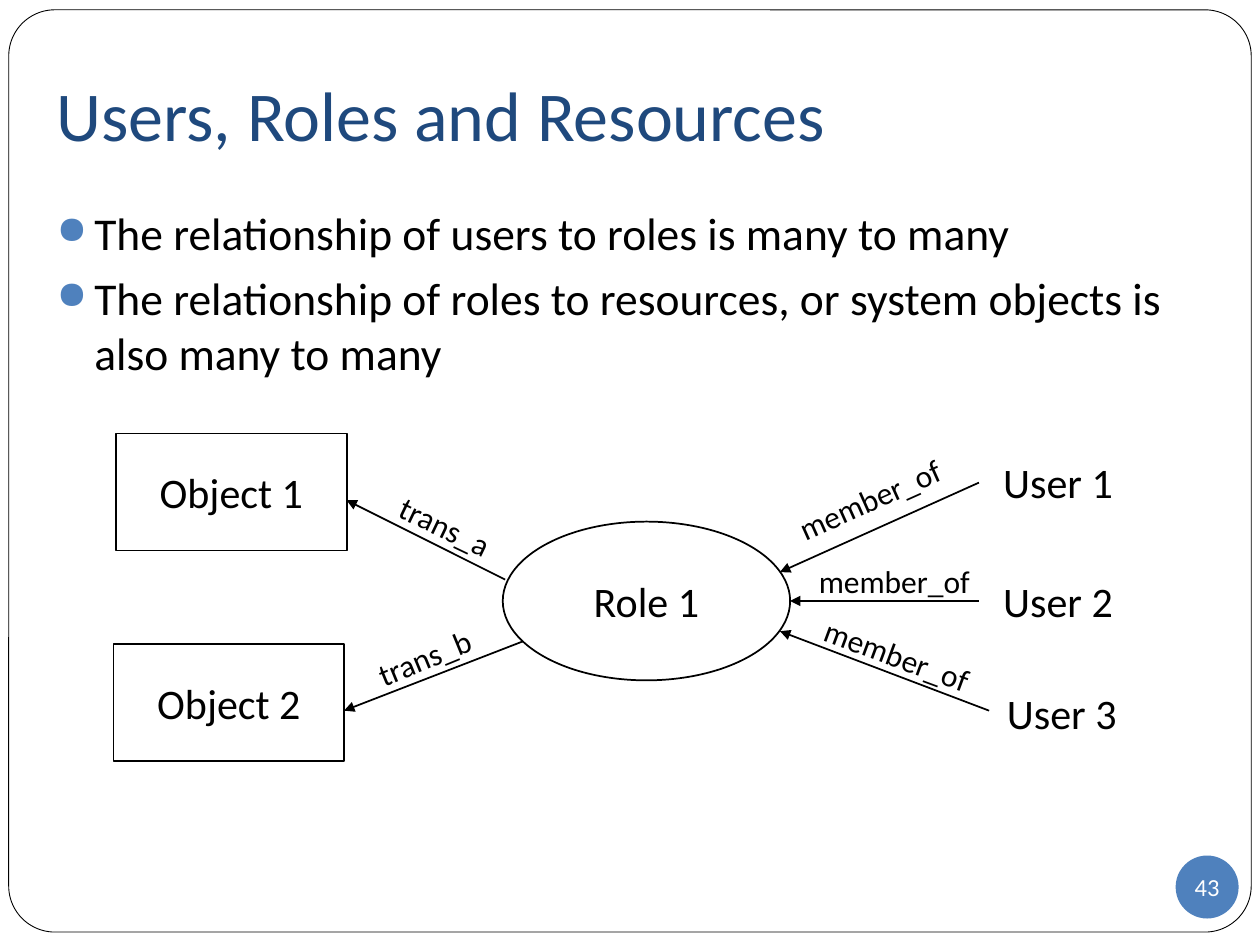
"""Build a slide showing how users, roles and resources relate."""
from lxml import etree
from pptx import Presentation
from pptx.dml.color import RGBColor
from pptx.enum import shapes, text
from pptx.oxml import ns
from pptx.util import Pt

BLACK = RGBColor(0, 0, 0)
WHITE = RGBColor(255, 255, 255)
BLUE = RGBColor(0x4F, 0x81, 0xBD)
NAVY = RGBColor(0x1F, 0x49, 0x7D)
FONT = "Calibri"
KIND = shapes.MSO_SHAPE
MID = text.MSO_ANCHOR.MIDDLE
CENTER = text.PP_ALIGN.CENTER

TITLE = "Users, Roles and Resources"
POINTS = [
    "The relationship of users to roles is many to many",
    "The relationship of roles to resources, or system objects is also many to many",
]
NODE = (132, 67)
OBJECTS = [("Object 1", 66.2, 247.7), ("Object 2", 64.8, 367.9)]
USERS = [("User 1", 538.6, 241.9), ("User 2", 538.6, 309.6), ("User 3", 540.7, 373.7)]
ROLE = (287.3, 298.1, 164.2, 90.7)
ARROWS = [
    (559.4, 275.8, 445.7, 326.9),
    (559.4, 343.4, 451.4, 343.4),
    (565.2, 406.1, 445.7, 360.7),
    (288.7, 331.2, 198, 285.8),
    (298.8, 366.5, 196.6, 406.1),
]
LABELS = [
    ("member_of", 446.4, 270, 105, -24.2),
    ("member_of", 460.8, 317.5, 105, 0),
    ("member_of", 462.2, 360.7, 105, 20.3),
    ("trans_a", 219.6, 288, 76.3, 25.6),
    ("trans_b", 207.4, 360, 76.3, -22.4),
]


def add_sub(node, tag, **attrs):
    return etree.SubElement(node, ns.qn(tag), **attrs)


def add_dot(para):
    props = para._p.get_or_add_pPr()
    props.set("marL", str(Pt(21.6)))
    props.set("indent", str(-Pt(21.6)))
    add_sub(add_sub(props, "a:buClr"), "a:srgbClr", val=str(BLUE))
    add_sub(props, "a:buSzPct", val="85000")
    add_sub(props, "a:buChar", char="●")


def write(shape, *lines, size=24, color=BLACK, align=None, anchor=None,
          inset=(7.2, 3.6, 7.2, 3.6), dots=False, gap=0):
    frame = shape.text_frame
    frame.word_wrap = True
    frame.vertical_anchor = anchor
    (frame.margin_left, frame.margin_top,
     frame.margin_right, frame.margin_bottom) = map(Pt, inset)
    for i, line in enumerate(lines):
        para = frame.add_paragraph() if i else frame.paragraphs[0]
        para.alignment = align
        if i:
            para.space_before = Pt(gap)
        if dots:
            add_dot(para)
        run = para.add_run()
        run.text = line
        run.font.name = FONT
        run.font.size = Pt(size)
        run.font.color.rgb = color


def add_box(slide, *area):
    return slide.shapes.add_textbox(*map(Pt, area))


def add_form(slide, kind, *area, fill=None, line=None):
    shape = slide.shapes.add_shape(kind, *map(Pt, area))
    shape.shadow.inherit = False
    if fill is None:
        shape.fill.background()
    else:
        shape.fill.solid()
        shape.fill.fore_color.rgb = fill
    if line is None:
        shape.line.fill.background()
    else:
        shape.line.color.rgb = BLACK
        shape.line.width = Pt(line)
    return shape


def add_arrow(slide, *ends):
    link = slide.shapes.add_connector(shapes.MSO_CONNECTOR.STRAIGHT, *map(Pt, ends))
    link.line.color.rgb = BLACK
    link.line.width = Pt(1)
    add_sub(link.line._get_or_add_ln(), "a:tailEnd", type="triangle")
    add_sub(link._element.spPr, "a:effectLst")


def main():
    deck = Presentation()
    deck.slide_width, deck.slide_height = Pt(720), Pt(540)
    slide = deck.slides.add_slide(deck.slide_layouts[6])

    frame = add_form(slide, KIND.ROUNDED_RECTANGLE, 5, 5.6, 710, 527, fill=WHITE, line=0.5)
    frame.adjustments[0] = 0.05
    write(add_box(slide, 25.2, 113.8, 680.4, 405.4), *POINTS, size=26, dots=True, gap=5.8)
    write(add_box(slide, 25.2, 21.6, 674.6, 90), TITLE, size=40, color=NAVY,
          anchor=MID, inset=(7.2, 3.6, 7.2, 7.2))
    badge = add_form(slide, KIND.OVAL, 671.8, 488.9, 36, 36, fill=BLUE)
    write(badge, "43", size=14, color=WHITE, align=CENTER, anchor=MID, inset=(0, 0, 0, 0))

    for name, x, y in OBJECTS:
        box = add_form(slide, KIND.RECTANGLE, x, y, *NODE, line=1)
        write(box, name, align=CENTER, anchor=MID)
    role = add_form(slide, KIND.OVAL, *ROLE, line=1)
    write(role, "Role 1", align=CENTER, anchor=MID)
    for name, x, y in USERS:
        write(add_box(slide, x, y, *NODE), name, align=CENTER, anchor=MID)

    for ends in ARROWS:
        add_arrow(slide, *ends)
    for name, x, y, width, turn in LABELS:
        label = add_box(slide, x, y, width, 28.8)
        label.rotation = turn
        write(label, name, size=18)

    deck.save("out.pptx")


if __name__ == "__main__":
    main()
